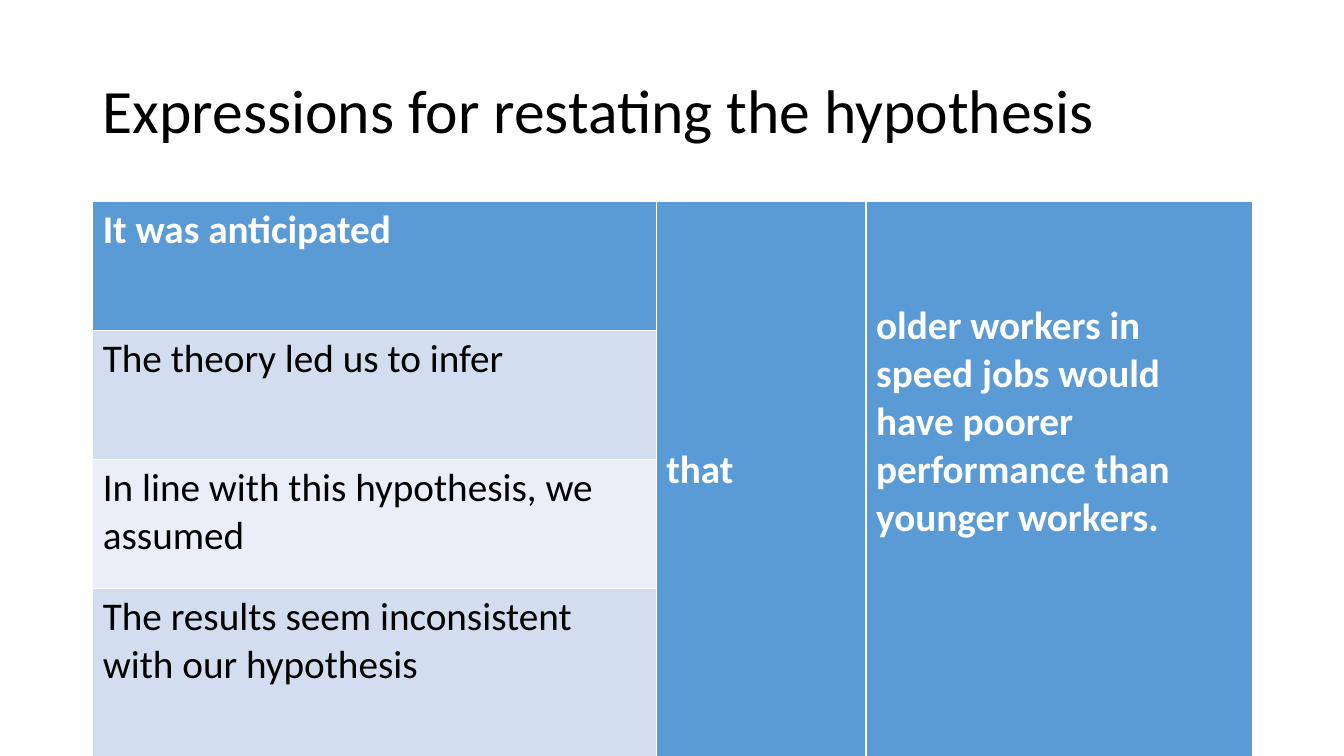
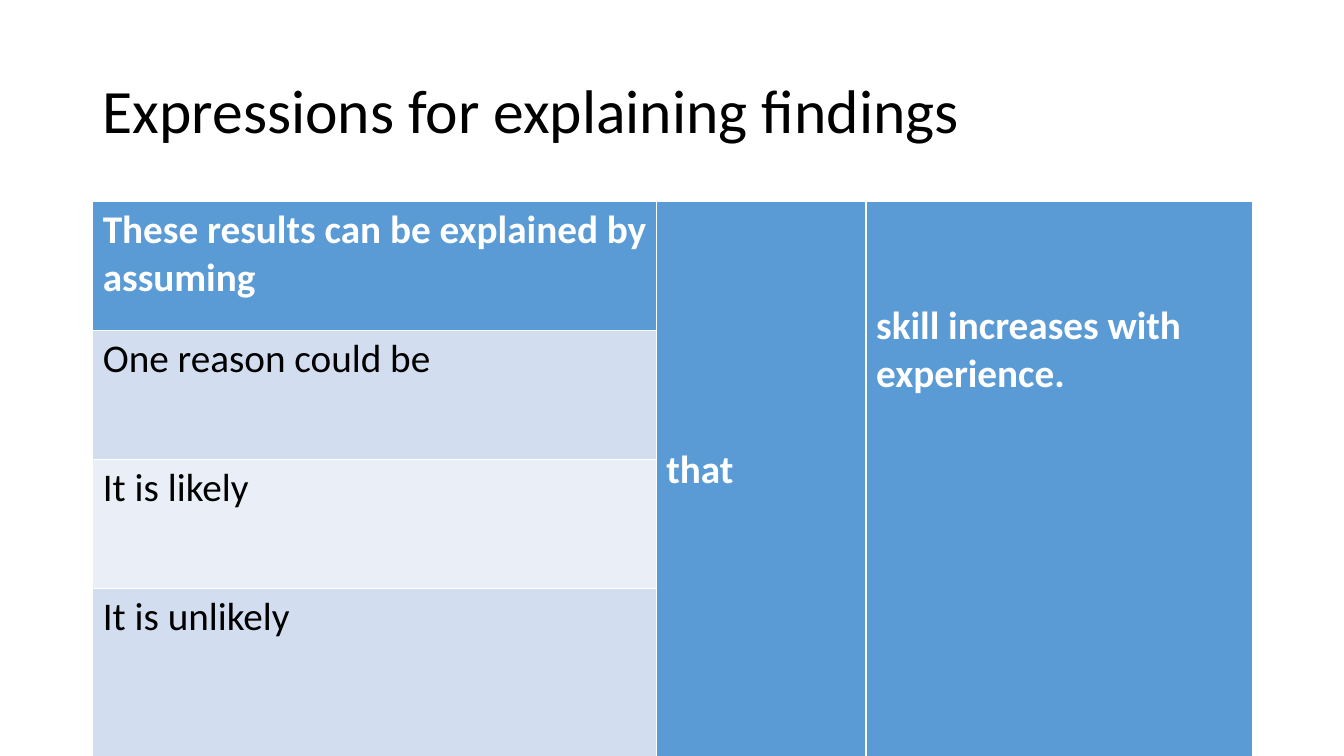
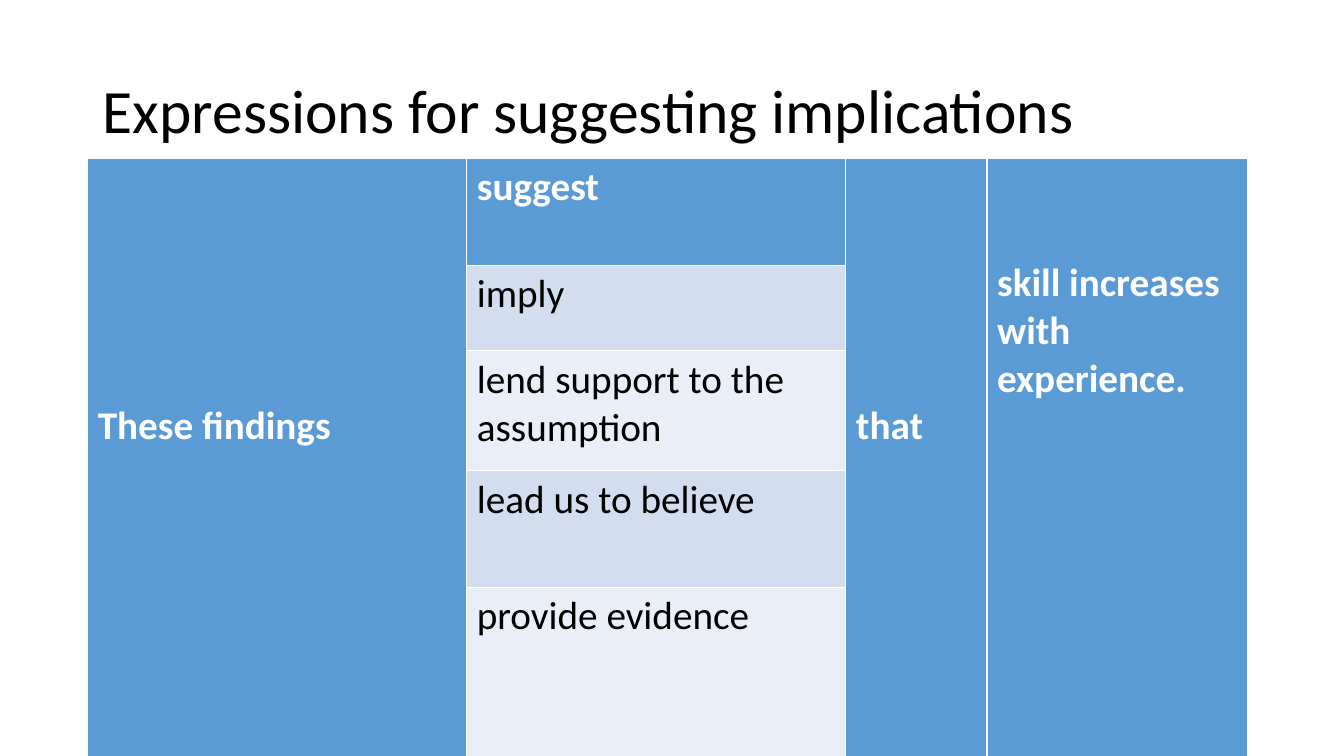
from dataclasses import dataclass

from pptx import Presentation
from pptx.dml.color import RGBColor
from pptx.enum.text import MSO_ANCHOR
from pptx.presentation import Presentation as Deck
from pptx.slide import Slide
from pptx.table import Table, _Cell
from pptx.text.text import _Run
from pptx.util import Inches, Pt

WHITE = RGBColor(0xFF, 0xFF, 0xFF)
BLACK = RGBColor(0x00, 0x00, 0x00)
BLUE = RGBColor(0x5B, 0x9B, 0xD5)
BANDS = (RGBColor(0xEA, 0xEF, 0xF7), RGBColor(0xD2, 0xDE, 0xEF))

PAGE_WIDTH, PAGE_HEIGHT = 13.33, 7.5
CONTENT_LEFT, CONTENT_WIDTH = 0.92, 11.5
LINE_HEIGHT = 0.475
CELL_MARGIN = 0.05

TITLE_FORMAT = {"name": "Calibri", "size": Pt(44), "bold": False}
HEAD_FORMAT = {"name": "Calibri", "size": Pt(28), "bold": True}
BODY_FORMAT = HEAD_FORMAT | {"bold": False}


@dataclass(frozen=True)
class Column:
    """A list of phrases; a single phrase spans every row, some lines down."""
    width: float
    phrases: tuple[str, ...]
    lines_down: int = 0


@dataclass(frozen=True)
class Page:
    title: str
    left: float
    top: float
    upper_rows: tuple[float, ...]
    columns: tuple[Column, ...]


def pattern_page(title: str, openings: tuple[str, ...], ending: str) -> Page:
    """A page that joins several openings to one ending with 'that'."""
    return Page(title, CONTENT_LEFT, 2, (1.28,) * 3, (
        Column(5.59, openings),
        Column(2.08, ("that",), 5),
        Column(3.83, (ending,), 2),
    ))


PAGES = (
    pattern_page(
        "Expressions for restating the hypothesis",
        ("It was anticipated",
         "The theory led us to infer",
         "In line with this hypothesis, we assumed",
         "The results seem inconsistent with our hypothesis"),
        "older workers in speed jobs would have poorer performance than younger workers.",
    ),
    pattern_page(
        "Expressions for explaining findings",
        ("These results can be explained by assuming",
         "One reason could be",
         "It is likely",
         "It is unlikely"),
        "skill increases with experience.",
    ),
    Page("Expressions for suggesting implications", 0.87, 1.57, (1.06, 0.85, 1.19, 1.16), (
        Column(3.76, ("These findings",), 5),
        Column(3.76, ("suggest", "imply", "lend support to the assumption",
                      "lead us to believe", "provide evidence")),
        Column(1.4, ("that",), 5),
        Column(2.58, ("skill increases with experience.",), 2),
    )),
)


def format_span(span: _Run, values: dict, color: RGBColor) -> None:
    for name, value in values.items():
        setattr(span.font, name, value)
    span.font.color.rgb = color


def add_title(slide: Slide, text: str) -> None:
    box = slide.shapes.add_textbox(
        Inches(CONTENT_LEFT), Inches(0.4), Inches(CONTENT_WIDTH), Inches(1.45))
    frame = box.text_frame
    frame.word_wrap = True
    frame.vertical_anchor = MSO_ANCHOR.MIDDLE
    para = frame.paragraphs[0]
    para.line_spacing = 0.9
    span = para.add_run()
    span.text = text
    format_span(span, TITLE_FORMAT, BLACK)


def write_cell(cell: _Cell, text: str, is_head: bool, lines_down: int) -> None:
    cell.margin_top = Inches(CELL_MARGIN + lines_down * LINE_HEIGHT)
    span = cell.text_frame.paragraphs[0].add_run()
    span.text = text
    format_span(span, HEAD_FORMAT if is_head else BODY_FORMAT, WHITE if is_head else BLACK)


def fill_column(table: Table, index: int, column: Column) -> None:
    row_count = len(table.rows)
    table.columns[index].width = Inches(column.width)
    spans_rows = len(column.phrases) == 1
    for row in range(row_count):
        fill = table.cell(row, index).fill
        fill.solid()
        fill.fore_color.rgb = BLUE if spans_rows or row == 0 else BANDS[row % 2]
    if spans_rows:
        table.cell(0, index).merge(table.cell(row_count - 1, index))
    for row, phrase in enumerate(column.phrases):
        write_cell(table.cell(row, index), phrase, row == 0, column.lines_down)


def add_phrase_table(slide: Slide, page: Page) -> None:
    """Draw the table; its last row runs to the bottom of the slide."""
    height = PAGE_HEIGHT - page.top
    rows = (*page.upper_rows, height - sum(page.upper_rows))
    table = slide.shapes.add_table(
        len(rows), len(page.columns), Inches(page.left), Inches(page.top),
        Inches(CONTENT_WIDTH), Inches(height)).table
    for row, row_height in zip(table.rows, rows):
        row.height = Inches(row_height)
    for index, column in enumerate(page.columns):
        fill_column(table, index, column)


def add_page(deck: Deck, page: Page) -> None:
    slide = deck.slides.add_slide(deck.slide_layouts[6])
    add_title(slide, page.title)
    add_phrase_table(slide, page)


def main() -> None:
    deck = Presentation()
    deck.slide_width = Inches(PAGE_WIDTH)
    deck.slide_height = Inches(PAGE_HEIGHT)
    for page in PAGES:
        add_page(deck, page)
    deck.save("out.pptx")


if __name__ == "__main__":
    main()
